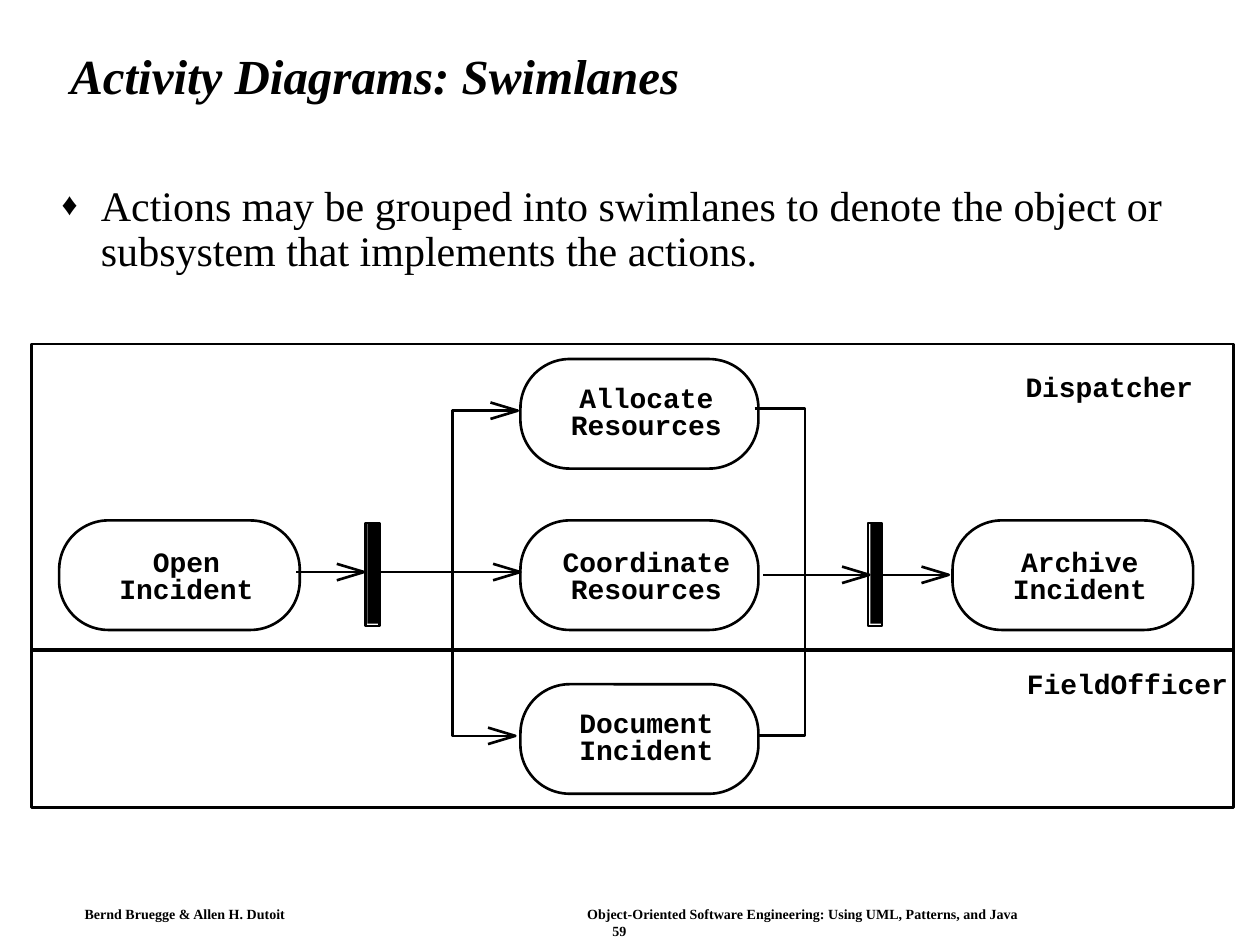
"""Build the swimlane activity diagram slide."""
from dataclasses import dataclass

from lxml.etree import SubElement
from pptx import Presentation
from pptx.dml.color import RGBColor
from pptx.enum.shapes import MSO_CONNECTOR, MSO_SHAPE
from pptx.enum.text import MSO_ANCHOR, PP_ALIGN
from pptx.oxml.ns import qn
from pptx.util import Pt


@dataclass(frozen=True)
class Theme:
    """Hold the colours, fonts and sizes of the slide."""
    ink: RGBColor = RGBColor(0, 0, 0)
    serif: str = "Times New Roman"
    mono: str = "Courier New"
    title: float = 28
    body: float = 24
    label: float = 16
    foot: float = 8
    line: float = 1.5


THEME = Theme()


def apply(item, values):
    """Set each named value on an object."""
    for name, value in values.items():
        setattr(item, name, value)


def write(para, text, size, face=THEME.serif, **style):
    """Add one formatted run to a paragraph."""
    run = para.add_run()
    run.text = text
    apply(run.font, {"size": Pt(size), "name": face, **style})
    run.font.color.rgb = THEME.ink


def frame(shape, pads, **style):
    """Set the insets and layout of a text frame."""
    sides = ("left", "top", "right", "bottom")
    text = shape.text_frame
    apply(text, {f"margin_{side}": Pt(pad) for side, pad in zip(sides, pads)})
    apply(text, {"word_wrap": True, **style})
    return text


def text_box(slide, place, pads, **style):
    """Add a text box and return its frame."""
    return frame(slide.shapes.add_textbox(*map(Pt, place)), pads, **style)


def stroke(item):
    """Give an item the common outline."""
    item.line.color.rgb = THEME.ink
    item.line.width = Pt(THEME.line)


def outline(slide, kind, place):
    """Add an unfilled preset shape."""
    shape = slide.shapes.add_shape(kind, *map(Pt, place))
    shape.shadow.inherit = False
    shape.fill.background()
    stroke(shape)
    return shape


def node(slide, left, top, width, drop, lines):
    """Add a rounded action with its label."""
    shape = outline(slide, MSO_SHAPE.ROUNDED_RECTANGLE, (left, top, width, 62.6))
    shape.adjustments[0] = 0.45
    text = frame(shape, (8, drop, 0, 0), word_wrap=False,
                 vertical_anchor=MSO_ANCHOR.MIDDLE)
    for count, line in enumerate(lines):
        para = text.add_paragraph() if count else text.paragraphs[0]
        apply(para, {"alignment": PP_ALIGN.CENTER, "line_spacing": Pt(15.5)})
        write(para, line, THEME.label, THEME.mono, bold=True)


def bar(slide, left):
    """Add a fork or join bar with its outline."""
    core = slide.shapes.add_shape(
        MSO_SHAPE.RECTANGLE, *map(Pt, (left + 1.2, 298.8, 6.5, 57.6)))
    core.shadow.inherit = False
    core.fill.solid()
    core.fill.fore_color.rgb = THEME.ink
    core.line.fill.background()
    outline(slide, MSO_SHAPE.RECTANGLE, (left, 298.8, 7.9, 59))


def trace(slide, points):
    """Draw an open path through the points."""
    first, *rest = [(Pt(x), Pt(y)) for x, y in points]
    path = slide.shapes.build_freeform(*first)
    path.add_line_segments(rest, close=False)
    shape = path.convert_to_shape()
    shape.shadow.inherit = False
    shape.fill.background()
    stroke(shape)


def arrow(slide, start, end, y):
    """Draw a level line with a long open head."""
    line = slide.shapes.add_connector(
        MSO_CONNECTOR.STRAIGHT, *map(Pt, (start, y, end, y)))
    stroke(line)
    SubElement(line._element.spPr, qn("a:effectLst"))
    trace(slide, [(end - 15.6, y - 4.7), (end, y), (end - 15.6, y + 4.7)])


def lane(slide, top, height, name, left, base):
    """Add a swimlane and its name."""
    outline(slide, MSO_SHAPE.RECTANGLE, (18, top, 686.9, height))
    text = text_box(slide, (left, base, len(name) * 9.6, 19.4), (0, 0, 0, 0),
                    word_wrap=False)
    write(text.paragraphs[0], name, THEME.label, THEME.mono, bold=True)


def head(slide):
    """Add the title and the bullet."""
    pads = (7.2, 3.6, 7.2, 3.6)
    text = text_box(slide, (33.1, 17.3, 642.2, 55.4), pads,
                    vertical_anchor=MSO_ANCHOR.MIDDLE)
    para = text.paragraphs[0]
    para.line_spacing = 0.9
    write(para, "Activity Diagrams: Swimlanes", THEME.title, bold=True, italic=True)
    para = text_box(slide, (28.1, 102.2, 650.2, 387.4), pads).paragraphs[0]
    para.line_spacing = 0.9
    props = para._p.get_or_add_pPr()
    props.set("marL", str(Pt(22.5)))
    props.set("indent", str(-Pt(22.5)))
    SubElement(props, qn("a:buSzPct"), val="75000")
    SubElement(props, qn("a:buFont"), typeface=THEME.serif)
    SubElement(props, qn("a:buChar"), char="♦")
    write(para, "Actions may be grouped into swimlanes to denote the object or "
          "subsystem that implements the actions.", THEME.body)


def foot(slide):
    """Add the footer with its page number."""
    text = text_box(slide, (42.5, 514.8, 622.8, 25), (5.8, 2.9, 5.8, 2.9))
    para = text.paragraphs[0]
    tabs = SubElement(para._p.get_or_add_pPr(), qn("a:tabLst"))
    SubElement(tabs, qn("a:tab"), pos=str(Pt(287.2)), algn="l")
    write(para, "Bernd Bruegge & Allen H. Dutoit\tObject-Oriented Software "
          "Engineering: Using UML, Patterns, and Java", THEME.foot, bold=True)
    para = text.add_paragraph()
    para.alignment = PP_ALIGN.CENTER
    write(para, "59", THEME.foot, bold=True)


def main():
    """Build and save the slide."""
    deck = Presentation()
    apply(deck, {"slide_width": Pt(720), "slide_height": Pt(540)})
    slide = deck.slides.add_slide(deck.slide_layouts[6])
    foot(slide)
    head(slide)
    for left, top, width, drop, lines in (
        (33.8, 297.4, 137.5, 3.5, ("Open", "Incident")),
        (297.4, 205.2, 136, 0, ("Allocate", "Resources")),
        (297.4, 297.4, 136, 3.5, ("Coordinate", "Resources")),
        (297.4, 391, 136, 0, ("Document", "Incident")),
        (544.3, 297.4, 137.5, 3.5, ("Archive", "Incident")),
    ):
        node(slide, left, top, width, drop, lines)
    for left in (208.8, 496.1):
        bar(slide, left)
    for start, end, y in (
        (169.2, 208.1, 326.9), (217.4, 297.4, 326.9),
        (436.3, 496.8, 328.5), (501.8, 542.2, 328.5),
        (278.6, 295.9, 234.7), (277.2, 294.5, 420.5),
    ):
        arrow(slide, start, end, y)
    for start, turn, end, top in (
        (278.6, 258.5, 277.2, 234.7), (431.3, 460, 433.4, 233.3),
    ):
        trace(slide, [(start, top), (turn, top), (turn, 420.5), (end, 420.5)])
    lane(slide, 196.6, 175, "Dispatcher", 586, 211)
    lane(slide, 370.8, 90.7, "FieldOfficer", 586.8, 380.9)
    deck.save("out.pptx")


if __name__ == "__main__":
    main()
